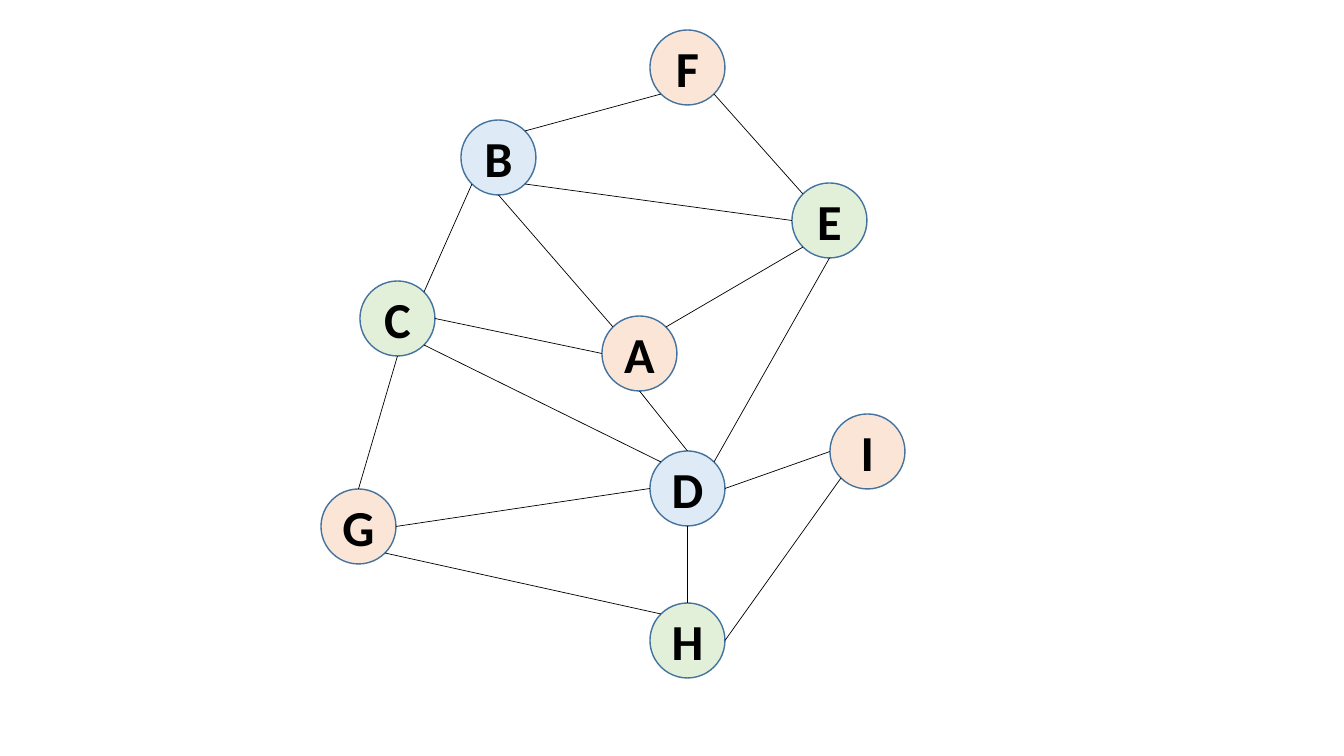
from math import cos, pi, sin

from lxml.etree import SubElement
from pptx import Presentation
from pptx.dml.color import RGBColor
from pptx.enum.shapes import MSO_CONNECTOR, MSO_SHAPE
from pptx.enum.text import MSO_ANCHOR, PP_ALIGN
from pptx.oxml.ns import qn
from pptx.util import Inches, Pt

SLIDE_WIDTH, SLIDE_HEIGHT = 1344, 756
SCALE = Inches(7.5) / SLIDE_HEIGHT
DIAMETER = 75

PEACH, GREEN, BLUE = "FBE5D6", "E2F0D9", "DEEBF7"
OUTLINE, BLACK = "43739E", "000000"

# Connection sites of an ellipse, counter-clockwise from the top
TOP, TOP_LEFT, LEFT, BOTTOM_LEFT, BOTTOM, BOTTOM_RIGHT, RIGHT, TOP_RIGHT = range(8)

# Label: left, top (within the graph box), fill
NODES = {
    "A": (281, 286, PEACH),
    "C": (39, 251, GREEN),
    "B": (140, 90, BLUE),
    "D": (329, 421, BLUE),
    "F": (329, 0, PEACH),
    "E": (471, 153, GREEN),
    "G": (0, 459, PEACH),
    "H": (329, 573, GREEN),
    "I": (509, 384, PEACH),
}

# Start node and site, end node and site
EDGES = [
    ("F", BOTTOM_LEFT, "B", TOP_RIGHT),
    ("F", BOTTOM_RIGHT, "E", TOP_LEFT),
    ("B", BOTTOM_RIGHT, "E", LEFT),
    ("B", BOTTOM, "A", TOP_LEFT),
    ("B", BOTTOM_LEFT, "C", TOP_RIGHT),
    ("A", LEFT, "C", RIGHT),
    ("G", TOP, "C", BOTTOM),
    ("D", TOP_LEFT, "C", BOTTOM_RIGHT),
    ("D", TOP, "A", BOTTOM),
    ("D", TOP_RIGHT, "E", BOTTOM),
    ("A", TOP_RIGHT, "E", BOTTOM_LEFT),
    ("D", RIGHT, "I", LEFT),
    ("H", RIGHT, "I", BOTTOM_LEFT),
    ("H", TOP, "D", BOTTOM),
    ("D", LEFT, "G", RIGHT),
    ("H", TOP_LEFT, "G", BOTTOM_RIGHT),
]


def px(length):
    return round(length * SCALE)


def color(value):
    return RGBColor.from_string(value)


def add_node(slide, label, left, top, fill):
    shape = slide.shapes.add_shape(
        MSO_SHAPE.OVAL, px(left), px(top), px(DIAMETER), px(DIAMETER))
    shape.shadow.inherit = False
    shape.fill.solid()
    shape.fill.fore_color.rgb = color(fill)
    shape.line.color.rgb = color(OUTLINE)
    shape.line.width = Pt(1)
    frame = shape.text_frame
    frame.vertical_anchor = MSO_ANCHOR.MIDDLE
    paragraph = frame.paragraphs[0]
    paragraph.text = label
    paragraph.alignment = PP_ALIGN.CENTER
    font = paragraph.font
    font.name, font.size, font.bold = "Calibri", Pt(36), True
    font.color.rgb = color(BLACK)
    return shape


def site_point(shape, site):
    """Return the place of a connection site on a node's rim."""
    angle = site * pi / 4
    radius = shape.width / 2
    return (round(shape.left + radius * (1 - sin(angle))),
            round(shape.top + radius * (1 - cos(angle))))


def add_edge(slide, start, start_site, end, end_site):
    connector = slide.shapes.add_connector(
        MSO_CONNECTOR.STRAIGHT,
        *site_point(start, start_site), *site_point(end, end_site))
    connector.line.color.rgb = color(BLACK)
    connector.line.width = Pt(0.5)
    element = connector._element
    SubElement(element.spPr, qn("a:effectLst"))
    # Attach both ends to the nodes
    attachments = element.find(".//" + qn("p:cNvCxnSpPr"))
    for tag, shape, site in (("a:stCxn", start, start_site),
                             ("a:endCxn", end, end_site)):
        SubElement(attachments, qn(tag), id=str(shape.shape_id), idx=str(site))


def add_graph(slide, left, top):
    nodes = {label: add_node(slide, label, left + x, top + y, fill)
             for label, (x, y, fill) in NODES.items()}
    for start, start_site, end, end_site in EDGES:
        add_edge(slide, nodes[start], start_site, nodes[end], end_site)


def main():
    presentation = Presentation()
    presentation.slide_width = px(SLIDE_WIDTH)
    presentation.slide_height = px(SLIDE_HEIGHT)
    slide = presentation.slides.add_slide(presentation.slide_layouts[6])
    add_graph(slide, left=321, top=30)
    presentation.save("out.pptx")


if __name__ == "__main__":
    main()
